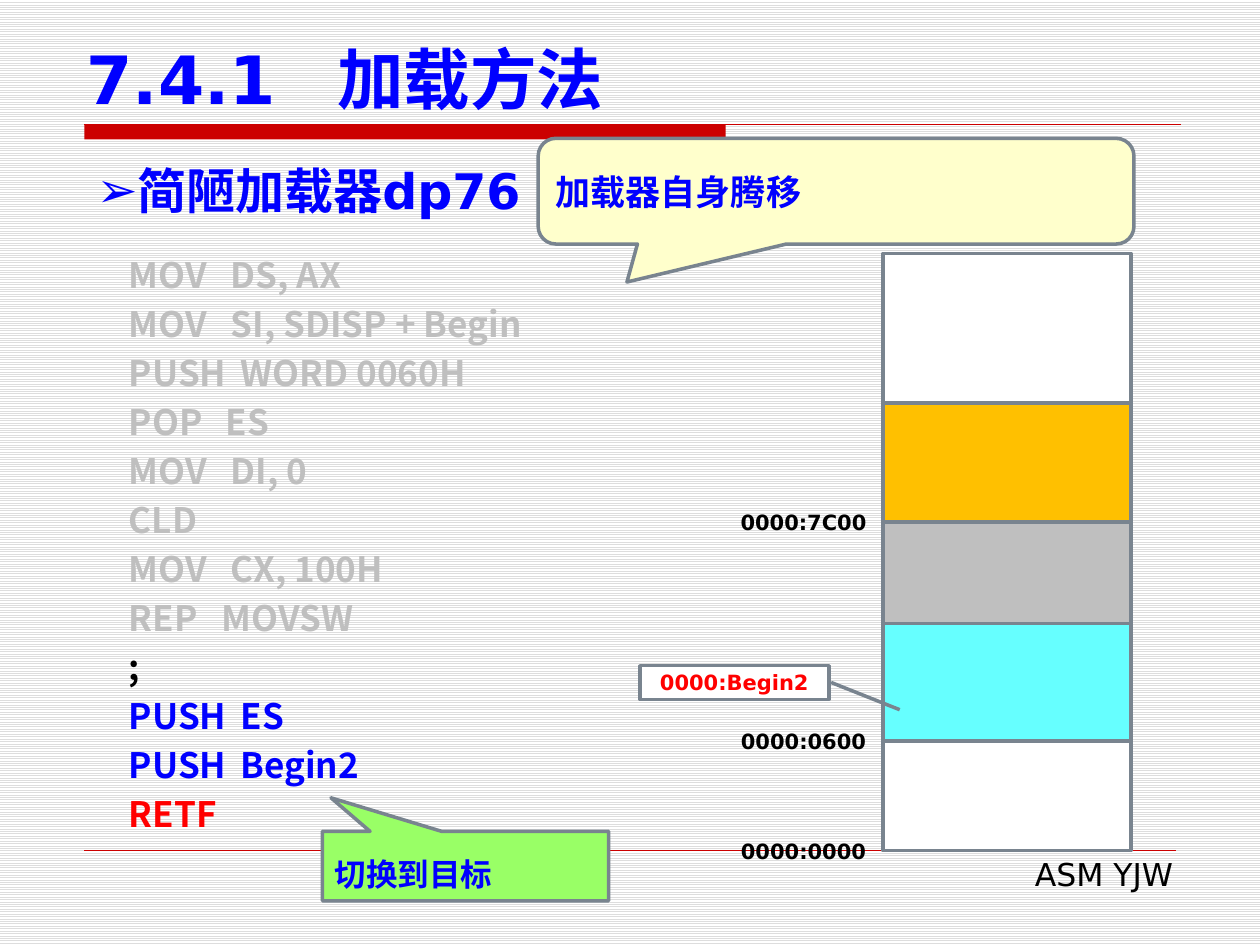
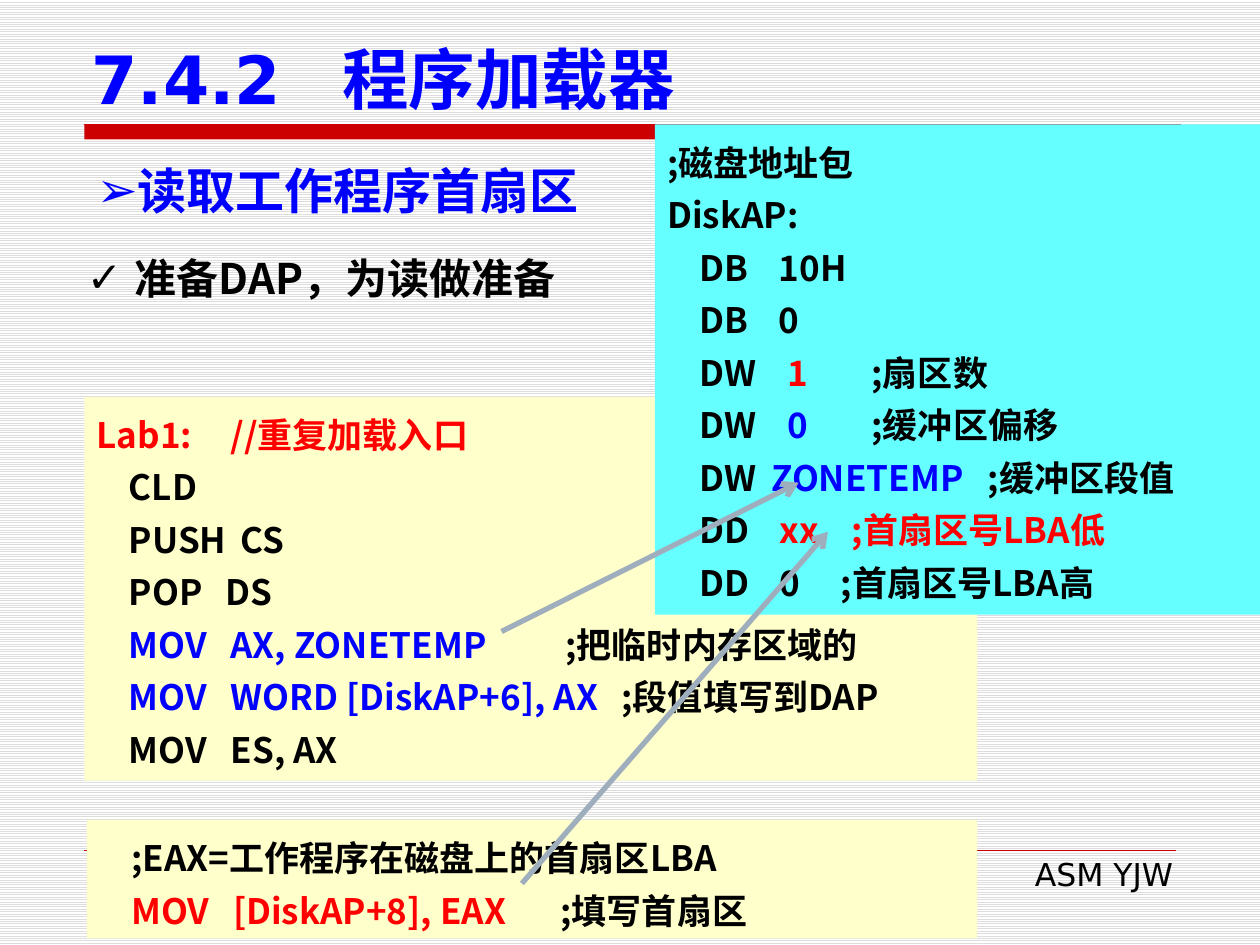
from lxml import etree
from pptx import Presentation
from pptx.dml.color import RGBColor
from pptx.enum.dml import MSO_PATTERN
from pptx.enum.shapes import MSO_CONNECTOR, MSO_SHAPE
from pptx.enum.text import MSO_ANCHOR, PP_ALIGN
from pptx.oxml.ns import qn
from pptx.util import Cm, Pt

STRAIGHT = MSO_CONNECTOR.STRAIGHT
RECTANGLE = MSO_SHAPE.RECTANGLE
ROUND_CALLOUT = MSO_SHAPE.ROUNDED_RECTANGULAR_CALLOUT
SQUARE_CALLOUT = MSO_SHAPE.RECTANGULAR_CALLOUT
LINE_CALLOUT = MSO_SHAPE.LINE_CALLOUT_1
STRIPES = MSO_PATTERN.LIGHT_HORIZONTAL
LEFT, CENTER, RIGHT = PP_ALIGN.LEFT, PP_ALIGN.CENTER, PP_ALIGN.RIGHT
TOP, MIDDLE, BOTTOM = MSO_ANCHOR.TOP, MSO_ANCHOR.MIDDLE, MSO_ANCHOR.BOTTOM

SANS, CJK = "DejaVu Sans", "Noto Sans CJK SC"
BLACK, WHITE, BLUE, RED = "000000", "FFFFFF", "0000FF", "FF0000"
RULE_RED, OUTLINE, ARROW = "CC0000", "79848F", "9FAEBD"
CREAM, CYAN, GREEN, ORANGE, GREY = "FFFFCC", "66FFFF", "99FF66", "FFC000", "BFBFBF"

INDENT = 0.65
OPERAND_STOPS = {"MOV": 2.7, "PUSH": 2.9, "POP": 2.6, "REP": 2.52}


def rgb(value):
    """Turn a hex string into a colour."""
    return RGBColor.from_string(value)


def set_tab_stops(properties, stops):
    """Give a paragraph left tab stops, in centimetres."""
    tab_list = etree.SubElement(properties, qn("a:tabLst"))
    for stop in stops:
        etree.SubElement(tab_list, qn("a:tab"), pos=str(Cm(stop)), algn="l")


def write(frame, lines, size=20, font=CJK, color=BLACK, bold=True, align=LEFT,
          anchor=TOP, spacing=None, bullet=None, hang=0):
    """Fill a frame with lines, each a string or (tab stops, (text, colour) runs)."""
    frame.word_wrap = True
    frame.vertical_anchor = anchor
    for number, line in enumerate(lines):
        stops, runs = ((), [(line, color)]) if isinstance(line, str) else line
        paragraph = frame.add_paragraph() if number else frame.paragraphs[0]
        paragraph.alignment = align
        if spacing:
            paragraph.line_spacing = Pt(spacing)
        properties = paragraph._p.get_or_add_pPr()
        if bullet:
            properties.set("marL", str(Cm(hang)))
            properties.set("indent", str(-Cm(hang)))
            etree.SubElement(properties, qn("a:buFont"), typeface=SANS)
            etree.SubElement(properties, qn("a:buChar"), char=bullet)
        if stops:
            set_tab_stops(properties, stops)
        for text, run_color in runs:
            run = paragraph.add_run()
            run.text = text
            run.font.size = Pt(size)
            run.font.bold = bold
            run.font.name = font
            run.font.color.rgb = rgb(run_color)
            etree.SubElement(run._r.get_or_add_rPr(), qn("a:ea"), typeface=CJK)


def add_label(slide, box, lines, **text_format):
    """Add a text box at box (left, top, width, height)."""
    label = slide.shapes.add_textbox(*map(Cm, box))
    write(label.text_frame, lines, **text_format)


def add_block(slide, box, fill, kind=RECTANGLE, outline=None, adjustments=(),
              lines=(), **text_format):
    """Add a filled shape, with an outline and text if given."""
    block = slide.shapes.add_shape(kind, *map(Cm, box))
    block.shadow.inherit = False
    block.fill.solid()
    block.fill.fore_color.rgb = rgb(fill)
    if outline:
        block.line.color.rgb = rgb(outline)
        block.line.width = Pt(2)
    else:
        block.line.fill.background()
    for index, value in enumerate(adjustments):
        block.adjustments[index] = value
    write(block.text_frame, lines, **text_format)


def add_line(slide, start, end, color, width, arrow=False):
    """Draw a straight line, with an arrowhead at its end if asked."""
    line = slide.shapes.add_connector(STRAIGHT, *map(Cm, start + end))
    line.line.color.rgb = rgb(color)
    line.line.width = Pt(width)
    if arrow:
        etree.SubElement(line.line._get_or_add_ln(), qn("a:tailEnd"), type="arrow")
    etree.SubElement(line._element.spPr, qn("a:effectLst"))


def add_base_slide(deck, number, title, title_box, topic):
    """Add a slide with the shared rules, footer, title and topic line."""
    slide = deck.slides.add_slide(deck.slide_layouts[6])
    add_block(slide, (1.7, 2.51, 12.93, 0.3), RULE_RED)
    add_line(slide, (1.7, 2.51), (23.8, 2.51), RULE_RED, 0.75)
    add_line(slide, (1.7, 17.15), (23.7, 17.15), RULE_RED, 0.25)
    add_label(slide, (9.7, 17.12, 14.2, 1.02), ["ASM YJW"], size=18, font=SANS,
              bold=False, align=RIGHT)
    heading = ((5.05,), [(f"{number}\t{title}", BLUE)])
    add_label(slide, title_box, [heading], size=38, font=SANS, anchor=BOTTOM)
    add_label(slide, (1.7, 3.12, 22, 1.45), [topic], size=28, font=SANS,
              color=BLUE, bullet="➢")
    return slide


def instruction(text, color=BLACK, comment="", comment_stop=None):
    """Make an indented code line with its operand and comment columns."""
    mnemonic = text.split("\t")[0]
    stops = [INDENT, OPERAND_STOPS.get(mnemonic, 2.7)]
    runs = [("\t" + text, color)]
    if comment:
        stops.append(comment_stop)
        runs.append(("\t" + comment, BLACK))
    return stops, runs


def data(directive, value, stop, color=BLACK, comment="", comment_stop=None,
         comment_color=BLACK):
    """Make an indented data definition with its value and comment columns."""
    stops = [INDENT, stop]
    runs = [(f"\t{directive}\t", BLACK), (value, color)]
    if comment:
        stops.append(comment_stop)
        runs.append(("\t" + comment, comment_color))
    return stops, runs


def add_memory_map(slide):
    """Stack the memory regions and put each base address at its lower edge."""
    regions = [(3.02, WHITE, None), (2.39, ORANGE, "0000:7C00"), (2.05, GREY, None),
               (2.37, CYAN, "0000:0600"), (2.21, WHITE, "0000:0000")]
    address_format = {"size": 12, "font": SANS, "align": CENTER}
    edge = 5.11
    for height, fill, address in regions:
        add_block(slide, (17.8, edge, 5, height), fill, outline=OUTLINE)
        edge += height
        if address:
            add_label(slide, (14.6, edge - 0.38, 3.2, 0.76), [address], **address_format)
    add_block(slide, (12.9, 13.42, 3.81, 0.68), WHITE, LINE_CALLOUT, OUTLINE,
              (0.498, 1.012, 1.306, 1.375), ["0000:Begin2"], color=RED,
              anchor=MIDDLE, **address_format)


def build_loading_method(deck):
    """Build the slide on how the loader moves itself."""
    slide = add_base_slide(deck, "7.4.1", "加载方法", (1.5, 0.71, 23, 1.8),
                           "简陋加载器dp76")
    move_code = ["MOV\tDS, AX", "MOV\tSI, SDISP + Begin", "PUSH\tWORD 0060H",
                 "POP\tES", "MOV\tDI, 0", "CLD", "MOV\tCX, 100H", "REP\tMOVSW"]
    jump_code = [(";", BLACK), ("PUSH\tES", BLUE), ("PUSH\tBegin2", BLUE), ("RETF", RED)]
    lines = [instruction(text, GREY) for text in move_code]
    lines += [instruction(text, color) for text, color in jump_code]
    add_label(slide, (1.7, 4.85, 11, 12.22), lines, spacing=28)
    add_memory_map(slide)
    add_block(slide, (10.85, 2.79, 12.01, 2.13), CREAM, ROUND_CALLOUT, OUTLINE,
              (-0.351, 0.86, 0.167), ["加载器自身腾移"], color=BLUE, anchor=MIDDLE)
    add_block(slide, (6.5, 16.76, 5.77, 1.4), GREEN, SQUARE_CALLOUT, OUTLINE,
              (-0.47, -0.983), ["切换到目标"], size=18, font=SANS, color=BLUE,
              anchor=MIDDLE, spacing=30)


def build_program_loader(deck):
    """Build the slide on reading the first sector."""
    slide = add_base_slide(deck, "7.4.2", "程序加载器", (1.6, 0.84, 22.2, 1.67),
                           "读取工作程序首扇区")
    add_label(slide, (1.5, 4.72, 11.6, 1.37), ["准备DAP，为读做准备"], size=24,
              spacing=36, bullet="✓", hang=0.97)
    entry_code = [
        ((2.7,), [("Lab1:\t//重复加载入口", RED)]),
        instruction("CLD"),
        instruction("PUSH\tCS"),
        instruction("POP\tDS"),
        instruction("MOV\tAX, ZONETEMP", BLUE, ";把临时内存区域的", 9.45),
        instruction("MOV\tWORD [DiskAP+6], AX", BLUE, ";段值填写到DAP", 10.58),
        instruction("MOV\tES, AX"),
    ]
    address_packet = [
        ";磁盘地址包",
        "DiskAP:",
        data("DB", "10H", 2.25),
        data("DB", "0", 2.25),
        data("DW", "1", 2.42, RED, ";扇区数", 4.12),
        data("DW", "0", 2.42, BLUE, ";缓冲区偏移", 4.12),
        data("DW", "ZONETEMP", 2.1, BLUE, ";缓冲区段值", 6.46),
        data("DD", "xx", 2.27, RED, ";首扇区号LBA低", 3.72, RED),
        data("DD", "0", 2.27, BLACK, ";首扇区号LBA高", 3.5),
    ]
    sector_code = [
        instruction(";EAX=工作程序在磁盘上的首扇区LBA"),
        instruction("MOV\t[DiskAP+8], EAX", RED, ";填写首扇区", 9.3),
    ]
    add_block(slide, (1.7, 8, 18, 7.74), CREAM, lines=entry_code, spacing=30)
    add_block(slide, (13.2, 2.51, 12.2, 9.88), CYAN, lines=address_packet, spacing=30)
    add_line(slide, (10.11, 12.73), (16.1, 9.73), ARROW, 3, arrow=True)
    add_block(slide, (1.75, 16.53, 17.95, 2.39), CREAM, lines=sector_code, spacing=30)
    add_line(slide, (10.52, 17.81), (16.69, 10.72), ARROW, 3, arrow=True)


def main():
    """Create the deck and save it."""
    deck = Presentation()
    deck.slide_width, deck.slide_height = Cm(25.4), Cm(19.05)
    backdrop = deck.slide_master.background.fill
    backdrop.patterned()
    backdrop.pattern = STRIPES
    backdrop.fore_color.rgb = rgb("DDDDDD")
    backdrop.back_color.rgb = rgb(WHITE)
    build_loading_method(deck)
    build_program_loader(deck)
    deck.save("out.pptx")


if __name__ == "__main__":
    main()
